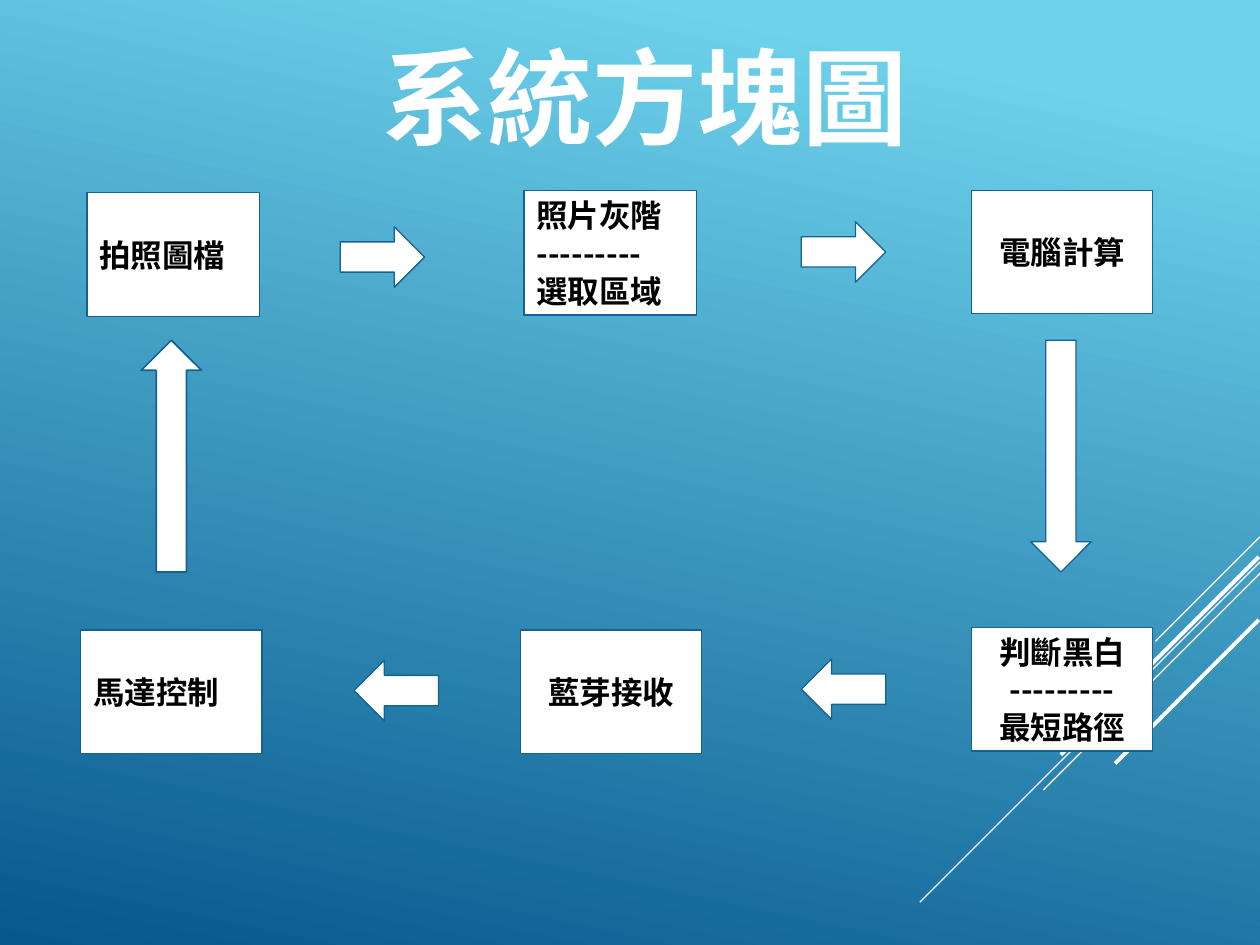
from lxml import etree
from pptx import Presentation
from pptx.dml.color import RGBColor
from pptx.enum.shapes import MSO_CONNECTOR, MSO_SHAPE
from pptx.enum.text import MSO_ANCHOR, PP_ALIGN
from pptx.oxml.ns import qn
from pptx.util import Inches, Pt

LEFT, CENTER, JUSTIFY = PP_ALIGN.LEFT, PP_ALIGN.CENTER, PP_ALIGN.JUSTIFY
MIDDLE = MSO_ANCHOR.MIDDLE
RECTANGLE = MSO_SHAPE.RECTANGLE
RIGHT_ARROW, UP_ARROW = MSO_SHAPE.RIGHT_ARROW, MSO_SHAPE.UP_ARROW
STRAIGHT = MSO_CONNECTOR.STRAIGHT

WIDTH, HEIGHT = 10, 7.5
WHITE, BLACK, EDGE = "FFFFFF", "000000", "146194"
SKY, DEEP = "6ED2EB", "06588E"
LATIN, CJK = "Calibri", "Noto Sans CJK SC"
DASHES = "-" * 9


def color(value):
    """Turn a hex string into a colour."""
    return RGBColor.from_string(value)


def format_text(frame, size, fill, align, latin=CJK):
    """Centre the text vertically and format each paragraph and run."""
    frame.word_wrap = True
    frame.vertical_anchor = MIDDLE
    for para in frame.paragraphs:
        para.alignment = align
        for span in para.runs:
            span.font.size = Pt(size)
            span.font.bold = True
            span.font.name = latin
            span.font.color.rgb = color(fill)
            east_asian = etree.Element(qn("a:ea"), typeface=CJK)
            span.font._element.find(qn("a:latin")).addnext(east_asian)


def paint_background(page):
    """Fill the page with the sky-to-deep-blue gradient."""
    fill = page.background.fill
    fill.gradient()
    fill.gradient_angle = 258
    for stop, place, value in zip(fill.gradient_stops, (0.1, 1), (SKY, DEEP)):
        stop.position = place
        stop.color.rgb = color(value)


def add_rays(page, box):
    """Draw the diagonal rays, each falling left at 45 degrees in the box."""
    left, top, width, _ = box
    right = left + width
    rays = [(0, 0, 0.83, 0.75), (0, 0.2, 2.7, 0.75), (0, 0.29, 1.72, 0.75),
            (0.01, 0.16, 1.57, 2.25), (0.01, 0.66, 1.14, 2.25)]
    for inset, drop, reach, weight in rays:
        x, y = right - inset, top + drop
        ray = page.shapes.add_connector(
            STRAIGHT, Inches(x), Inches(y), Inches(x - reach), Inches(y + reach))
        ray.line.color.rgb = color(WHITE)
        ray.line.width = Pt(weight)
        etree.SubElement(ray._element.spPr, qn("a:effectLst"))


def set_title(page, box, text):
    """Place and format the title placeholder."""
    title = page.shapes.title
    title.left, title.top, title.width, title.height = map(Inches, box)
    title.text_frame.text = text
    format_text(title.text_frame, 60, WHITE, CENTER)


def add_white_shape(page, kind, box, weight=0.75):
    """Add a white preset shape with a blue edge."""
    shape = page.shapes.add_shape(kind, *map(Inches, box))
    shape.shadow.inherit = False
    shape.fill.solid()
    shape.fill.fore_color.rgb = color(WHITE)
    shape.line.color.rgb = color(EDGE)
    shape.line.width = Pt(weight)
    return shape


def add_step(page, box, lines, align, latin=CJK):
    """Add one labelled block of the diagram."""
    frame = add_white_shape(page, RECTANGLE, box).text_frame
    frame.margin_left = frame.margin_right = Inches(0.1)
    frame.margin_top = frame.margin_bottom = Inches(0.1)
    frame.text = "\n".join(lines)
    format_text(frame, 18, BLACK, align, latin)


def add_diagram(page, box):
    """Draw the loop of six steps and six arrows from the box's corner."""
    left, top, _, _ = box
    wide, narrow, tall = 1.44, 1.37, 0.98
    steps = [
        (0.05, 0.02, narrow, tall, ["拍照圖檔"], LEFT, LATIN),
        (3.52, 0, narrow, 0.99, ["照片灰階", DASHES, "選取區域"], JUSTIFY, CJK),
        (7.07, 0, wide, tall, ["電腦計算"], CENTER, CJK),
        (7.07, 3.47, wide, tall, ["判斷黑白", DASHES, "最短路徑"], CENTER, CJK),
        (3.49, 3.49, wide, tall, ["藍芽接收"], CENTER, CJK),
        (0, 3.49, wide, tall, ["馬達控制"], LEFT, CJK),
    ]
    for x, y, width, height, lines, align, latin in steps:
        add_step(page, (left + x, top + y, width, height), lines, align, latin)

    short, long, thick = 0.67, 1.84, 0.48
    arrows = [(2.06, 0.29, short, 0), (5.72, 0.25, short, 0),
              (6.86, 1.87, long, 90), (5.72, 3.72, short, 180),
              (2.17, 3.73, short, 180)]
    for x, y, length, turn in arrows:
        arrow = add_white_shape(page, RIGHT_ARROW, (left + x, top + y, length, thick))
        arrow.rotation = turn
    add_white_shape(page, UP_ARROW, (left + 0.48, top + 1.19, thick, long), 1)


def main():
    """Build and save the deck."""
    deck = Presentation()
    deck.slide_width, deck.slide_height = Inches(WIDTH), Inches(HEIGHT)
    page = deck.slides.add_slide(deck.slide_layouts.get_by_name("Title Only"))
    paint_background(page)
    add_rays(page, (7.3, 4.26, 2.7, 2.91))
    set_title(page, (0.62, 0.1, 9, 1.31), "系統方塊圖")
    add_diagram(page, (0.64, 1.51, 8.51, 4.47))
    deck.save("out.pptx")


main()
